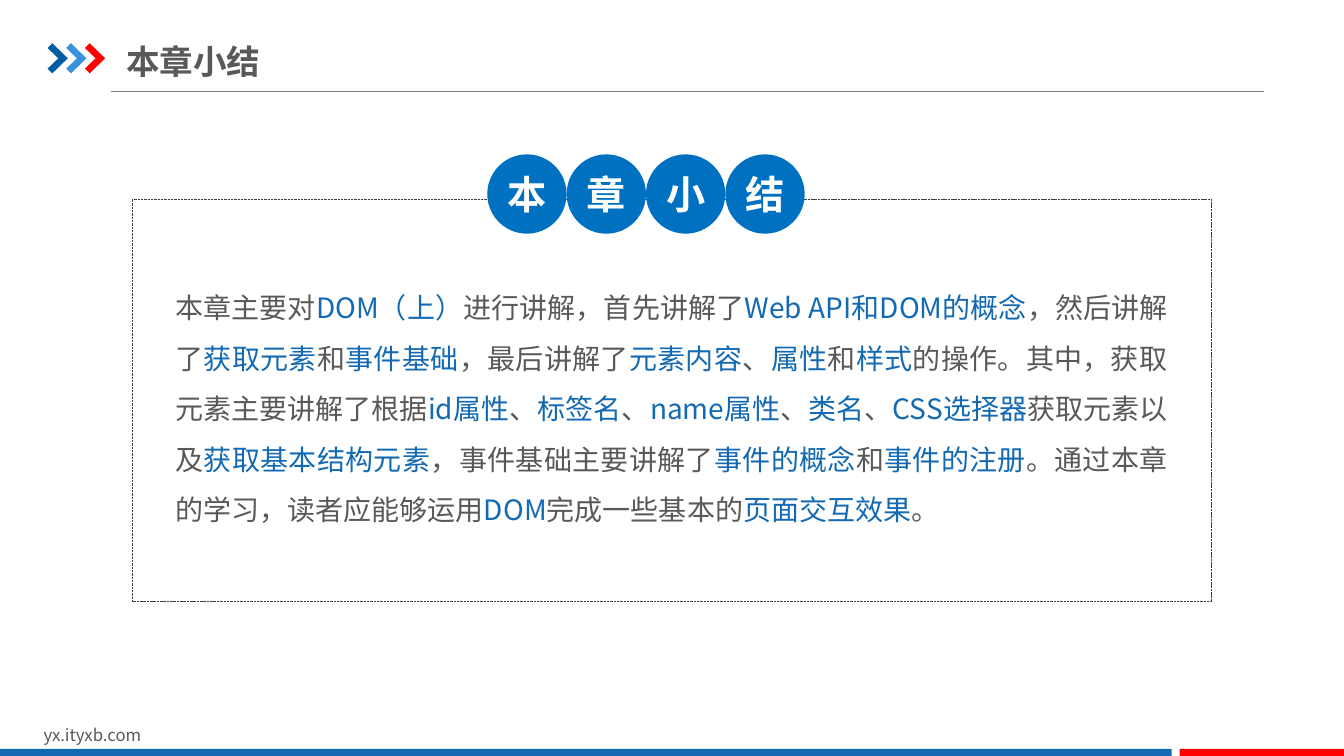
from lxml import etree
from pptx import Presentation
from pptx import util as u
from pptx.dml.color import RGBColor
from pptx.enum import dml, shapes, text
from pptx.oxml.ns import qn

# Content
TITLE = "本章小结"
SITE = "yx.ityxb.com"
# Plain and highlighted pieces take turns, starting with plain
SUMMARY = [
    "本章主要对", "DOM（上）", "进行讲解，首先讲解了", "Web API和DOM的概念",
    "，然后讲解了", "获取元素", "和", "事件基础", "，最后讲解了", "元素内容",
    "、", "属性", "和", "样式", "的操作。其中，获取元素主要讲解了根据", "id属性",
    "、", "标签名", "、", "name属性", "、", "类名", "、", "CSS选择器",
    "获取元素以及", "获取基本结构元素", "，事件基础主要讲解了", "事件的概念",
    "和", "事件的注册", "。通过本章的学习，读者应能够运用", "DOM",
    "完成一些基本的", "页面交互效果", "。",
]
FONT = "Noto Sans CJK SC"
COLORS = {
    "text": "595959", "accent": "1369B2", "circle": "0070C0", "white": "FFFFFF",
    "rule": "808080", "frame": "404040", "red": "FF0000",
    "navy": "005DA2", "sky": "3992DB",
}
CHEVRON = [(0, 0.12), (0.12, 0), (0.51, 0.38), (0.12, 0.76), (0, 0.64), (0.27, 0.38)]


def rgb(name):
    return RGBColor.from_string(COLORS[name])


def cm(*lengths):
    return [u.Cm(n) for n in lengths]


def style(font, size, color=None, bold=False):
    font.name, font.size, font.bold = FONT, u.Pt(size), bold
    if color:
        font.color.rgb = rgb(color)
    latin = font._element.find(qn("a:latin"))
    ea = etree.Element(qn("a:ea"), typeface=FONT)
    latin.addnext(ea)


def paint(sp, color):
    sp.shadow.inherit = False
    sp.fill.solid()
    sp.fill.fore_color.rgb = rgb(color)
    sp.line.fill.background()


def set_frame(tf, margin_x=0, margin_y=0, anchor=text.MSO_ANCHOR.TOP):
    tf.word_wrap = True
    tf.auto_size = text.MSO_AUTO_SIZE.NONE
    tf.margin_left = tf.margin_right = u.Cm(margin_x)
    tf.margin_top = tf.margin_bottom = u.Cm(margin_y)
    tf.vertical_anchor = anchor


prs = Presentation()
prs.slide_width, prs.slide_height = cm(33.87, 19.05)
slide = prs.slides.add_slide(prs.slide_layouts[5])
canvas = slide.shapes

# Title
title = canvas.title
title.left, title.top, title.width, title.height = cm(3.18, 0.92, 13.36, 1.22)
tf = title.text_frame
tf.text = TITLE
set_frame(tf, 0, 0.18, text.MSO_ANCHOR.MIDDLE)
p = tf.paragraphs[0]
p.alignment = text.PP_ALIGN.LEFT
style(p.font, 24, "text", True)

# Rule under the title
rule = canvas.add_connector(shapes.MSO_CONNECTOR.STRAIGHT, *cm(2.79, 2.31, 31.85, 2.31))
rule.line.color.rgb = rgb("rule")
rule.line.width = u.Pt(0.75)
etree.SubElement(rule._element.spPr, qn("a:effectLst"))

# Chevrons
for i, color in enumerate(["navy", "sky", "red"]):
    points = [cm(1.2 + 0.47 * i + x, 1.09 + y) for x, y in CHEVRON]
    outline = canvas.build_freeform(*points[0])
    outline.add_line_segments(points[1:], close=True)
    paint(outline.convert_to_shape(), color)

# Footer
site = canvas.add_textbox(*cm(0.85, 18.14, 8.08, 0.77))
set_frame(site.text_frame, 0.25, 0.13)
p = site.text_frame.paragraphs[0]
p.text = SITE
style(p.font, 12, "text")
for left, width, color in [(0, 29.53, "accent"), (29.73, 4.14, "red")]:
    bar = canvas.add_shape(shapes.MSO_SHAPE.RECTANGLE, *cm(left, 18.87, width, 0.22))
    paint(bar, color)

# Dashed frame
frame = canvas.add_shape(shapes.MSO_SHAPE.ROUNDED_RECTANGLE, *cm(3.33, 5.03, 27.2, 10.11))
frame.adjustments[0] = 0
frame.shadow.inherit = False
frame.fill.background()
frame.line.color.rgb = rgb("frame")
frame.line.width = u.Pt(0.25)
frame.line.dash_style = dml.MSO_LINE.SQUARE_DOT

# Summary
summary = canvas.add_textbox(*cm(4.42, 6.91, 25, 6.4))
set_frame(summary.text_frame)
p = summary.text_frame.paragraphs[0]
p.alignment = text.PP_ALIGN.JUSTIFY
p.line_spacing = 1.5
style(p.font, 20)
for i, piece in enumerate(SUMMARY):
    r = p.add_run()
    r.text = piece
    r.font.color.rgb = rgb("accent" if i % 2 else "text")

# Heading circles, one per character
DIAMETER = 2.0
for i, char in enumerate(TITLE):
    sp = canvas.add_shape(shapes.MSO_SHAPE.OVAL,
                          *cm(12.28 + DIAMETER * i, 3.89, DIAMETER, DIAMETER))
    paint(sp, "circle")
    set_frame(sp.text_frame, anchor=text.MSO_ANCHOR.MIDDLE)
    p = sp.text_frame.paragraphs[0]
    p.text = char
    p.alignment = text.PP_ALIGN.CENTER
    style(p.font, 28, "white", True)

prs.save("out.pptx")
